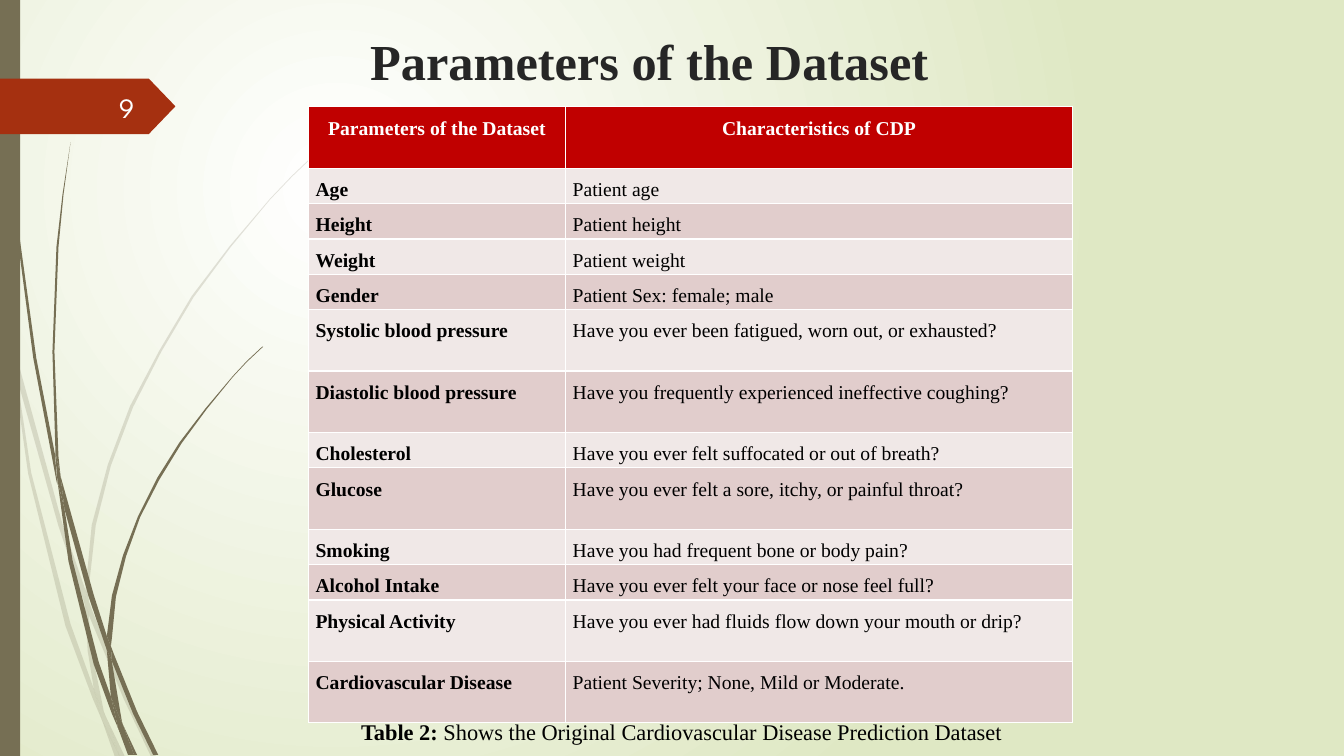
from pptx import Presentation
from pptx import util as u
from pptx.dml.color import RGBColor
from pptx.enum import shapes, text
from pptx.oxml import parse_xml
from pptx.oxml.ns import nsdecls

SERIF = "Times New Roman"
OLIVE = "766F54"
BANDS = ("E1CDCC", "F0E8E7")
SHORT, TALL = 0.29, 0.61

PARAMETERS = [
    ("Parameters of the Dataset", "Characteristics of CDP", TALL),
    ("Age", "Patient age", SHORT),
    ("Height", "Patient height", SHORT),
    ("Weight", "Patient weight", SHORT),
    ("Gender", "Patient Sex: female; male", SHORT),
    ("Systolic blood pressure", "Have you ever been fatigued, worn out, or exhausted?", TALL),
    ("Diastolic blood pressure", "Have you frequently experienced ineffective coughing?", TALL),
    ("Cholesterol", "Have you ever felt suffocated or out of breath?", SHORT),
    ("Glucose", "Have you ever felt a sore, itchy, or painful throat?", TALL),
    ("Smoking", "Have you had frequent bone or body pain?", SHORT),
    ("Alcohol Intake", "Have you ever felt your face or nose feel full?", SHORT),
    ("Physical Activity", "Have you ever had fluids flow down your mouth or drip?", TALL),
    ("Cardiovascular Disease", "Patient Severity; None, Mild or Moderate.", TALL),
]

# Each segment of grass is one closed outline.
PALE_GRASS = [
    [(0.11, 3.5), (0.09, 3.22), (0, 2.82), (0, 2.99), (0.1, 3.44)],
    [(0.58, 5.22), (0.84, 5.99), (0.85, 5.86), (0.62, 5.2), (0.14, 3.45), (0.17, 3.76)],
    [(0.92, 6.07), (0.88, 5.96), (0.88, 6.1), (1.23, 6.94), (1.5, 7.51), (1.55, 7.51),
     (1.27, 6.92)],
    [(1.19, 7.51), (1.24, 7.51), (1.05, 7.11)],
    [(0.93, 6.83), (0.7, 6.19), (0.31, 4.69), (0.17, 3.76), (0.11, 3.5), (0.28, 4.7),
     (0.65, 6.21), (0.92, 6.93), (1.01, 7.14), (0.99, 7.07)],
    [(0.84, 5.99), (0.87, 6.46), (0.93, 6.83), (0.96, 6.92), (1.05, 7.11), (1.03, 7.06),
     (0.91, 6.46), (0.88, 6.1), (0.88, 6.08)],
    [(0.88, 5.84), (0.95, 5.21), (1.1, 4.62), (1.32, 4.04), (1.6, 3.49), (1.92, 2.95),
     (2.29, 2.45), (2.68, 1.98), (2.9, 1.75), (3.12, 1.54), (3.12, 1.53), (2.89, 1.75),
     (2.68, 1.97), (2.28, 2.44), (1.9, 2.94), (1.58, 3.48), (1.29, 4.03), (1.07, 4.61),
     (0.91, 5.21), (0.85, 5.84), (0.85, 5.86), (0.88, 5.96)],
    [(1.01, 7.14), (1.14, 7.51), (1.19, 7.51)],
    [(0.88, 6.08), (0.88, 6.1), (0.88, 5.96), (0.85, 5.86), (0.84, 5.99)],
    [(0.96, 6.92), (0.93, 6.83), (0.99, 7.07), (1.01, 7.14), (1.19, 7.51), (1.05, 7.11)],
]
DARK_GRASS = [
    [(0.07, 1.1), (0.17, 2.33), (0.33, 3.55), (0.56, 4.77), (0.57, 4.81), (0.55, 4.57),
     (0.55, 4.53), (0.36, 3.55), (0.19, 2.32), (0.08, 1.09), (0.05, 0.48), (0.04, 0),
     (0.03, 0), (0.04, 0.48)],
    [(0.88, 5.92), (1.06, 6.45), (1.06, 6.33), (1.06, 6.31), (0.93, 5.9), (0.6, 4.72),
     (0.64, 5.05)],
    [(1.13, 6.49), (1.1, 6.41), (1.11, 6.56), (1.32, 7.08), (1.52, 7.49), (1.57, 7.49),
     (1.36, 7.06)],
    [(1.1, 6.91), (0.98, 6.57), (0.72, 5.56), (0.64, 5.05), (0.57, 4.77), (0.68, 5.57),
     (0.93, 6.59), (1.11, 7.08), (1.17, 7.22), (1.16, 7.17)],
    [(0.6, 4.72), (0.58, 4.53), (0.54, 3.49), (0.58, 2.45), (0.63, 1.93), (0.7, 1.41),
     (0.62, 1.93), (0.56, 2.45), (0.52, 3.49), (0.55, 4.49)],
    [(1.33, 7.49), (1.36, 7.49), (1.22, 7.19)],
    [(0.57, 4.77), (0.64, 5.05), (0.6, 4.72), (0.55, 4.49), (0.55, 4.53)],
    [(1.11, 6.33), (1.15, 5.92), (1.25, 5.52), (1.39, 5.13), (1.58, 4.76), (1.8, 4.4),
     (2.05, 4.06), (2.31, 3.74), (2.45, 3.59), (2.61, 3.44), (2.6, 3.44), (2.45, 3.58),
     (2.31, 3.73), (2.04, 4.05), (1.78, 4.39), (1.56, 4.74), (1.37, 5.12), (1.22, 5.51),
     (1.11, 5.91), (1.06, 6.31), (1.1, 6.41)],
    [(1.17, 7.22), (1.27, 7.49), (1.31, 7.49)],
    [(1.06, 6.45), (1.1, 6.91), (1.16, 7.06), (1.22, 7.19), (1.21, 7.16), (1.11, 6.56),
     (1.09, 6.51)],
    [(1.06, 6.45), (1.09, 6.51), (1.11, 6.56), (1.1, 6.41), (1.06, 6.31)],
    [(1.16, 7.06), (1.1, 6.91), (1.16, 7.17), (1.17, 7.22), (1.3, 7.49), (1.33, 7.49),
     (1.22, 7.19)],
]


def colour(code):
    return RGBColor.from_string(code)


def inches(*lengths):
    return [u.Inches(length) for length in lengths]


def paint(shape, code, opacity=100):
    shape.shadow.inherit = False
    shape.line.fill.background()
    shape.fill.solid()
    shape.fill.fore_color.rgb = colour(code)
    if opacity < 100:
        tone = shape.fill._xPr.xpath(".//a:srgbClr")[0]
        tone.append(parse_xml(f'<a:alpha {nsdecls("a")} val="{opacity * 1000}"/>'))


def add_span(para, words, size, code, bold=False, font=SERIF):
    span = para.add_run()
    span.text = words
    span.font.size = u.Pt(size)
    span.font.name = font
    span.font.bold = bold
    span.font.color.rgb = colour(code)


def add_text(page, place, align):
    """Add a middle-anchored text box and return its first paragraph."""
    box = page.shapes.add_textbox(*inches(*place))
    box.text_frame.word_wrap = True
    box.text_frame.vertical_anchor = text.MSO_ANCHOR.MIDDLE
    para = box.text_frame.paragraphs[0]
    para.alignment = align
    return para


def set_background(page):
    fill = page.background.fill
    fill.gradient()
    for stop, code in zip(fill.gradient_stops, ("FFFFFF", "DFE8C4")):
        stop.color.rgb = colour(code)
    linear = page.element.xpath(".//p:bg//a:lin")[0]
    linear.getparent().replace(linear, parse_xml(
        f'<a:path {nsdecls("a")} path="circle">'
        '<a:fillToRect l="25000" t="25000" r="75000" b="75000"/></a:path>'))


def add_grass(page, outline, opacity):
    start, *others = [inches(*point) for point in outline]
    builder = page.shapes.build_freeform(*start)
    builder.add_line_segments(others, close=True)
    paint(builder.convert_to_shape(), OLIVE, opacity)


def add_preset(page, preset, place, code):
    shape = page.shapes.add_shape(preset, *inches(*place))
    paint(shape, code)
    return shape


def format_title(page):
    title = page.shapes.title
    title.left, title.top, title.width, title.height = inches(3.37, 0.25, 6.14, 0.77)
    title.text_frame.vertical_anchor = text.MSO_ANCHOR.TOP
    para = title.text_frame.paragraphs[0]
    para.alignment = text.PP_ALIGN.CENTER
    add_span(para, "Parameters of the Dataset", 36, "262626", bold=True)


def fill_cell(cell, words, code, ink, bold, align):
    cell.margin_left = cell.margin_right = u.Inches(0.07)
    cell.margin_top = cell.margin_bottom = 0
    para = cell.text_frame.paragraphs[0]
    para.alignment = align
    para.line_spacing = 1.5
    para.space_after = u.Pt(8)
    add_span(para, words, 14, ink, bold)
    para._p.append(parse_xml(f'<a:endParaRPr {nsdecls("a")} sz="1400">'
                             f'<a:latin typeface="{SERIF}"/></a:endParaRPr>'))
    properties = cell._tc.get_or_add_tcPr()
    for side in ("lnL", "lnR", "lnT", "lnB"):
        properties.append(parse_xml(
            f'<a:{side} {nsdecls("a")} w="12700"><a:solidFill>'
            f'<a:srgbClr val="FFFFFF"/></a:solidFill></a:{side}>'))
    cell.fill.solid()
    cell.fill.fore_color.rgb = colour(code)


def add_parameter_table(page):
    table = page.shapes.add_table(len(PARAMETERS), 2, *inches(3.06, 1.06, 7.58, 5.81)).table
    table.horz_banding = False
    for column, width in zip(table.columns, (2.55, 5.03)):
        column.width = u.Inches(width)
    for index, (*words, height) in enumerate(PARAMETERS):
        table.rows[index].height = u.Inches(height)
        header = index == 0
        code = "C00000" if header else BANDS[index % 2]
        ink = "FFFFFF" if header else "000000"
        align = text.PP_ALIGN.CENTER if header else text.PP_ALIGN.LEFT
        for column, label in enumerate(words):
            fill_cell(table.cell(index, column), label, code, ink, header or column == 0, align)


def main():
    deck = Presentation()
    deck.slide_width, deck.slide_height = inches(13.33, 7.5)
    page = deck.slides.add_slide(deck.slide_layouts[5])
    set_background(page)
    for grass, opacity in ((PALE_GRASS, 20), (DARK_GRASS, 100)):
        for outline in grass:
            add_grass(page, outline, opacity)
    add_preset(page, shapes.MSO_SHAPE.RECTANGLE, (0, 0, 0.2, 7.5), OLIVE)
    tag = add_preset(page, shapes.MSO_SHAPE.PENTAGON, (0, 0.78, 1.74, 0.55), "A53010")
    tag.adjustments[0] = 0.48
    format_title(page)
    number = add_text(page, (0.58, 0.86, 0.85, 0.4), text.PP_ALIGN.RIGHT)
    add_span(number, "9", 20, "FEFFFF", font="League Spartan")
    add_parameter_table(page)
    caption = add_text(page, (3.37, 7.07, 6.78, 0.37), text.PP_ALIGN.CENTER)
    add_span(caption, "Table 2:", 16, "000000", bold=True)
    add_span(caption, " Shows the Original Cardiovascular Disease Prediction Dataset", 16, "000000")
    deck.save("out.pptx")


if __name__ == "__main__":
    main()
